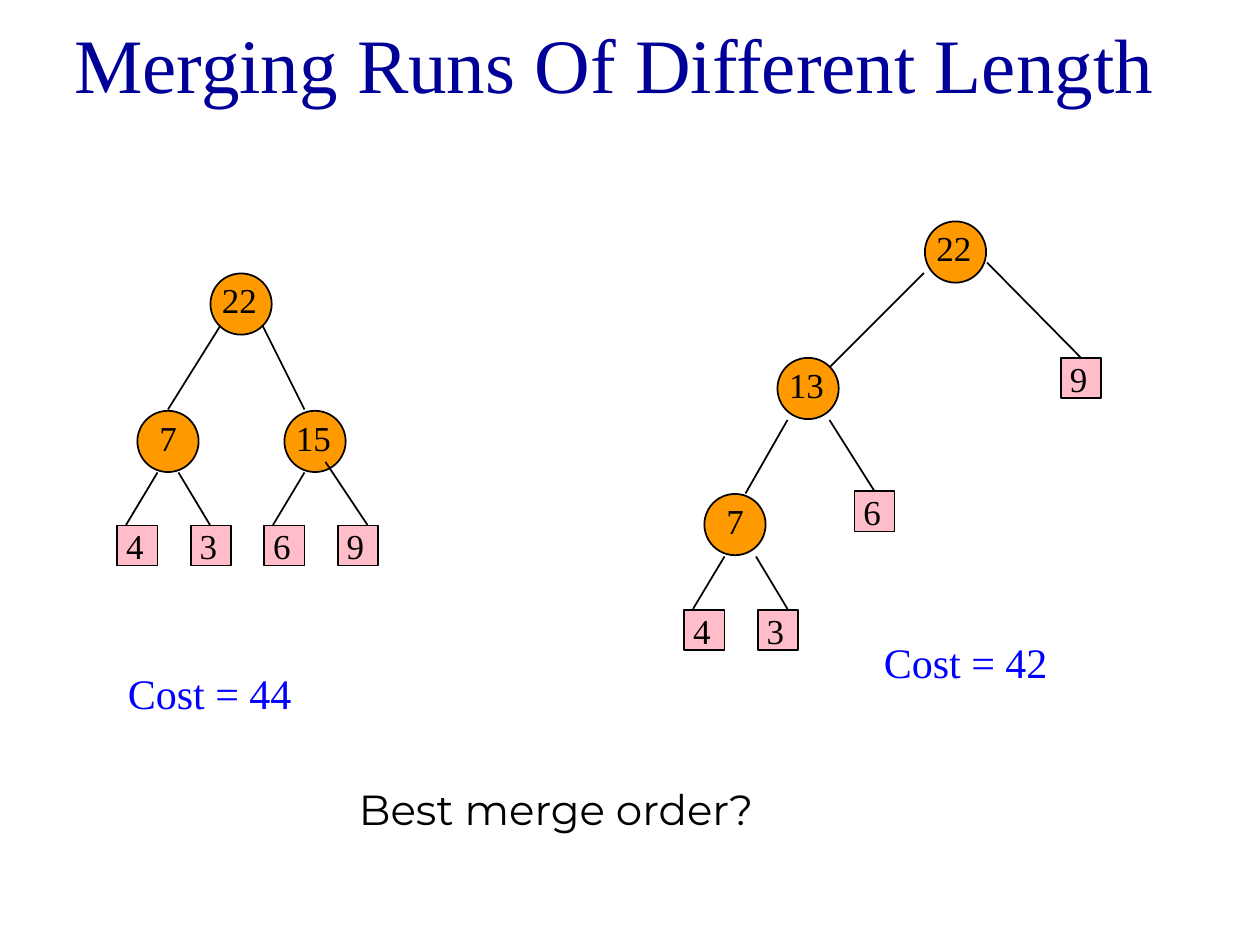
from pptx import Presentation
from pptx.dml.color import RGBColor
from pptx.enum.shapes import MSO_CONNECTOR, MSO_SHAPE
from pptx.enum.text import MSO_ANCHOR, PP_ALIGN
from pptx.oxml.ns import qn
from pptx.util import Pt
from lxml import etree

RECTANGLE, OVAL = MSO_SHAPE.RECTANGLE, MSO_SHAPE.OVAL
STRAIGHT = MSO_CONNECTOR.STRAIGHT
TOP, MIDDLE = MSO_ANCHOR.TOP, MSO_ANCHOR.MIDDLE
LEFT, CENTER = PP_ALIGN.LEFT, PP_ALIGN.CENTER
TOP_SIDE = 0

LEAF_SIZE, NODE_SIZE = 23, 35
LEAF_TOP = 300.25

BALANCED_TREE = {
    "leaves": [(label, 67 + 42 * column, LEAF_TOP) for column, label in enumerate("4369")],
    "nodes": [("7", 78.5, 234.75), ("22", 120.25, 156.25), ("15", 162.5, 234.75)],
    "edges": [
        ((126, 186), (96, 234)),
        ((150, 186), (174, 234)),
        ((90, 270), (72, 300)),
        ((102, 270), (120, 300)),
        ((174, 270), (156, 300)),
        ((186, 264), (210, 300)),
    ],
    "joined_edges": [],
}
SKEWED_TREE = {
    "leaves": [("4", 391, 348.5), ("3", 433, 348.5), ("6", 488.25, 280.75), ("9", 606.25, 204.5)],
    "nodes": [("7", 402.5, 282.25), ("13", 444.25, 204.5), ("22", 528.5, 126.5)],
    "edges": [
        ((528, 156), (474, 210)),
        ((450, 240), (426, 282)),
        ((414, 318), (396, 348)),
        ((432, 318), (450, 348)),
    ],
    "joined_edges": [((564, 150), "9"), ((474, 240), "6")],
}


def color(value):
    return RGBColor.from_string(value)


def write(box, text, size=20, font="Times New Roman", fill="000000",
          align=LEFT, anchor=TOP, wrap=False):
    frame = box.text_frame
    frame.word_wrap = wrap
    frame.vertical_anchor = anchor
    para = frame.paragraphs[0]
    para.alignment = align
    span = para.add_run()
    span.text = text
    span.font.size = Pt(size)
    span.font.name = font
    span.font.color.rgb = color(fill)


class TreeSlide:
    line_color = "000000"
    leaf_color = "FFBDCA"
    node_color = "FF9900"

    def __init__(self, page):
        self.page = page

    def text(self, text, left, top, width, height, **style):
        box = self.page.shapes.add_textbox(Pt(left), Pt(top), Pt(width), Pt(height))
        write(box, text, **style)

    def outline(self, element):
        element.line.color.rgb = color(self.line_color)
        element.line.width = Pt(1)

    def shape(self, kind, left, top, size, fill):
        shape = self.page.shapes.add_shape(kind, Pt(left), Pt(top), Pt(size), Pt(size))
        shape.shadow.inherit = False
        shape.fill.solid()
        shape.fill.fore_color.rgb = color(fill)
        self.outline(shape)
        return shape

    def leaf(self, label, left, top):
        square = self.shape(RECTANGLE, left, top, LEAF_SIZE, self.leaf_color)
        self.text(label, left - 2, top - 4, 24.5, 31)
        return square

    def node(self, label, left, top):
        self.shape(OVAL, left, top, NODE_SIZE, self.node_color)
        inset, width = (5.5, 24) if len(label) == 1 else (-0.5, 42)
        self.text(label, left + inset, top - 0.5, width, 31.5, wrap=True)

    def edge(self, start, end):
        line = self.page.shapes.add_connector(STRAIGHT, *map(Pt, start + end))
        self.outline(line)
        etree.SubElement(line._element.spPr, qn("a:effectLst"))
        return line

    def tree(self, leaves, nodes, edges, joined_edges):
        squares = {leaf[0]: self.leaf(*leaf) for leaf in leaves}
        for node in nodes:
            self.node(*node)
        for start, end in edges:
            self.edge(start, end)
        for start, label in joined_edges:
            self.edge(start, start).end_connect(squares[label], TOP_SIDE)


def main():
    deck = Presentation()
    deck.slide_width, deck.slide_height = Pt(720), Pt(540)
    slide = TreeSlide(deck.slides.add_slide(deck.slide_layouts[6]))

    slide.text("Merging Runs Of Different Length", 0, 0, 702, 72, size=44,
               fill="000099", align=CENTER, anchor=MIDDLE, wrap=True)
    slide.tree(**BALANCED_TREE)
    slide.tree(**SKEWED_TREE)
    for cost, left, top in (("Cost = 44", 66, 378), ("Cost = 42", 498, 360)):
        slide.text(cost, left, top, 135.5, 45.5, size=24, fill="0000FF")
    slide.text("Best merge order?", 198, 444, 362, 78.5, size=24, font="Montserrat")

    deck.save("out.pptx")


if __name__ == "__main__":
    main()
